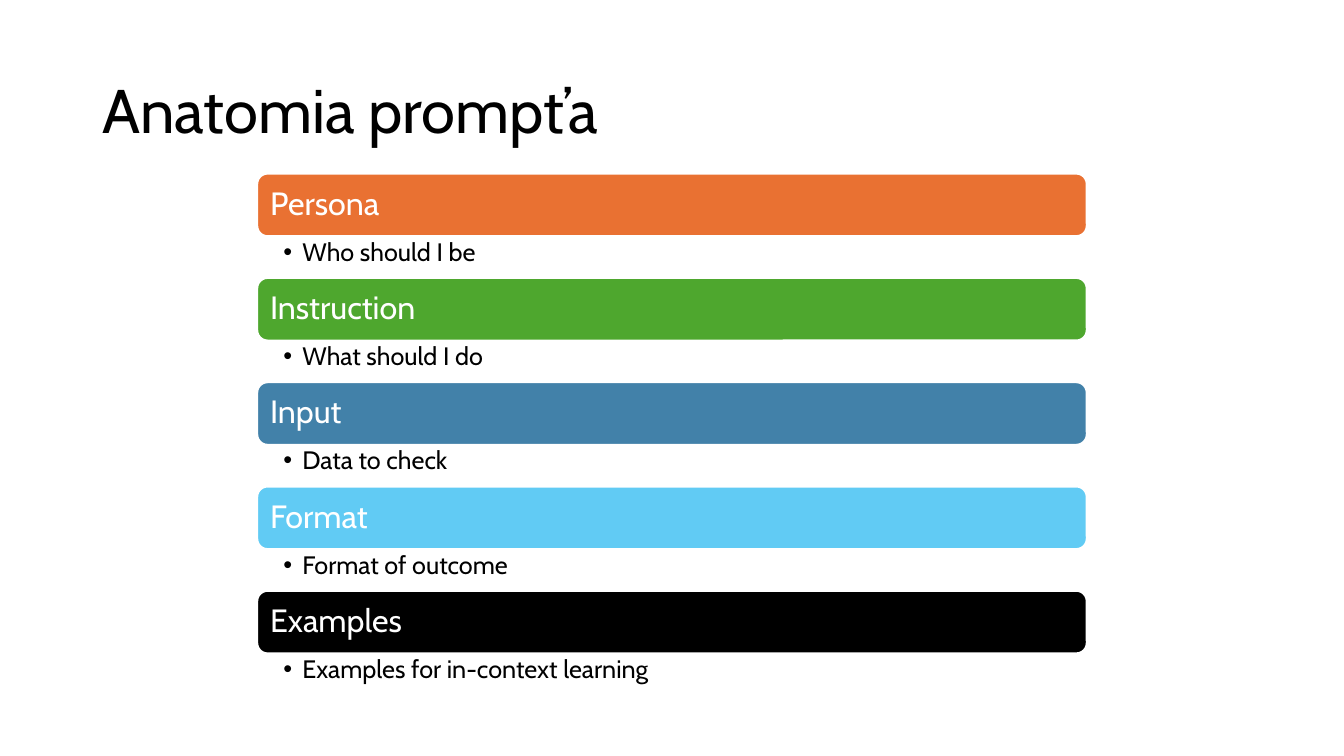
from lxml.etree import SubElement
from pptx import Presentation
from pptx.dml.color import RGBColor
from pptx.enum.shapes import MSO_SHAPE
from pptx.enum.text import MSO_ANCHOR, PP_ALIGN
from pptx.oxml.ns import qn
from pptx.util import Pt

FONT = "Cabin"
WHITE = RGBColor(0xFF, 0xFF, 0xFF)
BLACK = RGBColor(0x00, 0x00, 0x00)
ORANGE = RGBColor(0xE9, 0x71, 0x32)
GREEN = RGBColor(0x4E, 0xA7, 0x2E)
BLUE = RGBColor(0x42, 0x81, 0xA9)
SKY = RGBColor(0x61, 0xCB, 0xF4)

PROMPT_PARTS = [
    ("Persona", "Who should I be", ORANGE),
    ("Instruction", "What should I do", GREEN),
    ("Input", "Data to check", BLUE),
    ("Format", "Format of outcome", SKY),
    ("Examples", "Examples for in-context learning", BLACK),
]
BAR_HEIGHT = 44.8
HINT_HEIGHT = 29.7


def write_text(shape, text, size, color, anchor, insets, bullet=False):
    """Fill a shape with one paragraph; insets are left, top, right, bottom."""
    frame = shape.text_frame
    frame.word_wrap = True
    frame.vertical_anchor = anchor
    frame.margin_left, frame.margin_top, frame.margin_right, frame.margin_bottom = map(Pt, insets)
    paragraph = frame.paragraphs[0]
    paragraph.alignment = PP_ALIGN.LEFT
    paragraph.line_spacing = 0.9
    if bullet:
        properties = paragraph._p.get_or_add_pPr()
        properties.set("marL", str(Pt(13.5)))
        properties.set("indent", str(-Pt(13.5)))
        SubElement(properties, qn("a:buFont")).set("typeface", "Arial")
        SubElement(properties, qn("a:buChar")).set("char", "•")
    run = paragraph.add_run()
    run.text = text
    run.font.name = FONT
    run.font.size = Pt(size)
    run.font.color.rgb = color


def add_title(slide, text, left, top, width, height):
    box = slide.shapes.add_textbox(Pt(left), Pt(top), Pt(width), Pt(height))
    write_text(box, text, 44, BLACK, MSO_ANCHOR.MIDDLE, (7.2, 3.6, 7.2, 3.6))


def add_prompt_part(slide, name, hint, color, left, top, width):
    # Coloured bar with the name
    bar = slide.shapes.add_shape(
        MSO_SHAPE.ROUNDED_RECTANGLE, Pt(left), Pt(top), Pt(width), Pt(BAR_HEIGHT))
    bar.shadow.inherit = False
    bar.fill.solid()
    bar.fill.fore_color.rgb = color
    bar.line.color.rgb = WHITE
    bar.line.width = Pt(1.5)
    write_text(bar, name, 23, WHITE, MSO_ANCHOR.MIDDLE, (7, 7, 7, 7))

    # Bulleted hint below the bar
    box = slide.shapes.add_textbox(
        Pt(left), Pt(top + BAR_HEIGHT), Pt(width), Pt(HINT_HEIGHT))
    write_text(box, hint, 18, BLACK, MSO_ANCHOR.TOP, (18.8, 2.2, 13, 2.2), bullet=True)


def add_prompt_list(slide, left, top, width):
    for index, (name, hint, color) in enumerate(PROMPT_PARTS):
        part_top = top + index * (BAR_HEIGHT + HINT_HEIGHT)
        add_prompt_part(slide, name, hint, color, left, part_top, width)


def main():
    presentation = Presentation()
    presentation.slide_width = Pt(960)
    presentation.slide_height = Pt(540)
    slide = presentation.slides.add_slide(presentation.slide_layouts[6])
    add_title(slide, "Anatomia prompt’a", 66, 28.75, 828, 104.4)
    add_prompt_list(slide, 183.7, 124, 592.6)
    presentation.save("out.pptx")


if __name__ == "__main__":
    main()
